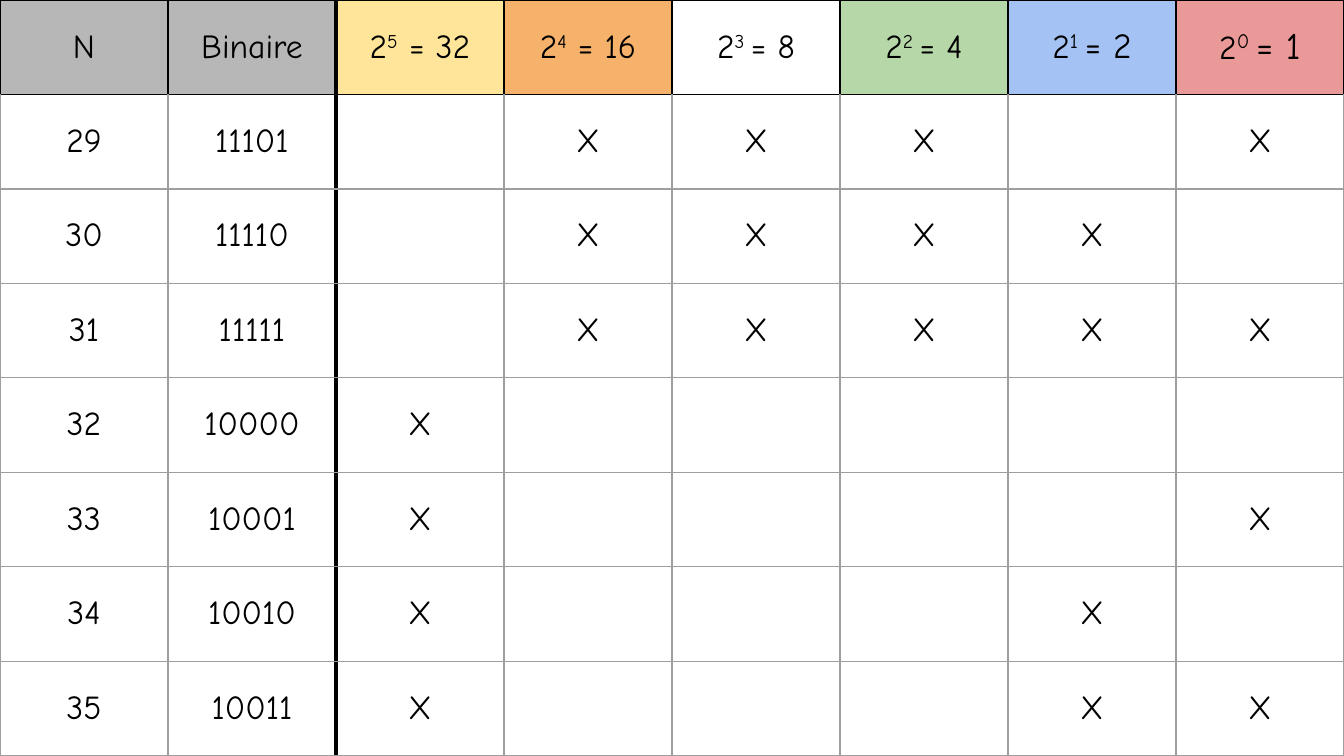
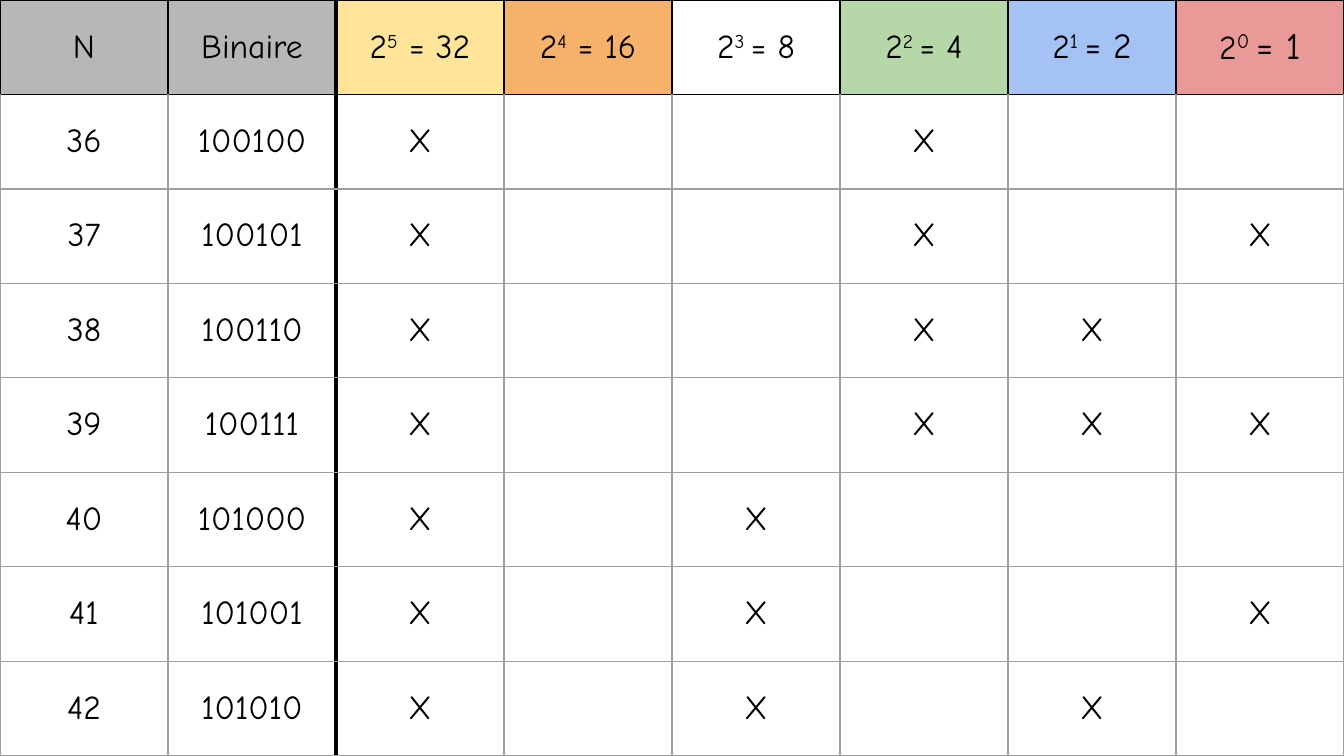
from lxml import etree
from pptx import Presentation
from pptx import util as u
from pptx.dml.color import RGBColor
from pptx.enum import text
from pptx.oxml.ns import qn

PX = 914400 / 192
WIDE, HIGH = 1920, 1080
COLS = ROWS = 8
PAD = 19
FONT = "Comic Neue"
BLACK = RGBColor(0x00, 0x00, 0x00)
EDGE = RGBColor(0x9E, 0x9E, 0x9E)
GRAY = RGBColor(0xB7, 0xB7, 0xB7)
GOLD = RGBColor(0xFF, 0xE5, 0x99)
AMBER = RGBColor(0xF6, 0xB2, 0x6B)
WHITE = RGBColor(0xFF, 0xFF, 0xFF)
GREEN = RGBColor(0xB6, 0xD7, 0xA8)
BLUE = RGBColor(0xA4, 0xC2, 0xF4)
ROSE = RGBColor(0xEA, 0x99, 0x99)
THIN, THICK = 0.75, 3
SIZE, RAISE = 18, 30000

# Each run: words, point size, raised or not.
HEAD = [
    (GRAY, [("N", 18, False)]),
    (GRAY, [("Binaire", 18, False)]),
    (GOLD, [("2", 18, False), ("5", 18, True), (" = 32", 18, False)]),
    (AMBER, [("2", 18, False), ("4", 18, True), (" = 16", 18, False)]),
    (WHITE, [("2", 18, False), ("3 ", 18, True), ("= 8", 18, False)]),
    (GREEN, [("2", 18, False), ("2 ", 18, True), ("= 4", 18, False)]),
    (BLUE, [("2", 18, False), ("1 ", 19, True), ("= 2", 19, False)]),
    (ROSE, [("2", 18, False), ("0 ", 19, True), ("= 1", 20, False)]),
]
PAGES = [
    (29, ["11101", "11110", "11111", "10000", "10001", "10010", "10011"]),
    (36, ["100100", "100101", "100110", "100111", "101000", "101001",
          "101010"]),
]


def px(n):
    return u.Emu(round(n * PX))


class Deck:
    def __init__(self):
        self.prs = Presentation()
        self.prs.slide_width, self.prs.slide_height = px(WIDE), px(HIGH)
        self.slide = None

    def page(self):
        self.slide = self.prs.slides.add_slide(self.prs.slide_layouts[6])

    def grid(self):
        """Add a plain table that fills the slide."""
        frame = self.slide.shapes.add_table(
            ROWS, COLS, 0, 0, px(WIDE), px(HIGH))
        table = frame.table
        table.first_row = table.horz_banding = False
        for col in table.columns:
            col.width = px(WIDE // COLS)
        for row in table.rows:
            row.height = px(HIGH // ROWS)
        return table

    def edge(self, cell, side, color, width):
        line = etree.SubElement(
            cell._tc.get_or_add_tcPr(), qn("a:ln" + side),
            w=str(u.Pt(width)), cap="flat", cmpd="sng")
        fill = etree.SubElement(line, qn("a:solidFill"))
        etree.SubElement(fill, qn("a:srgbClr"), val=str(color))
        etree.SubElement(line, qn("a:prstDash"), val="solid")

    def border(self, cell, row, col):
        """Draw the four edges; a thick rule follows the second column."""
        base = BLACK if row == 0 else EDGE
        top = BLACK if row <= 1 else EDGE
        rule = (BLACK, THICK)
        self.edge(cell, "L", *(rule if col == 2 else (base, THIN)))
        self.edge(cell, "R", *(rule if col == 1 else (base, THIN)))
        self.edge(cell, "T", top, THIN)
        self.edge(cell, "B", base, THIN)

    def label(self, cell, runs):
        cell.vertical_anchor = text.MSO_ANCHOR.MIDDLE
        cell.margin_left = cell.margin_right = px(PAD)
        cell.margin_top = cell.margin_bottom = px(PAD)
        para = cell.text_frame.paragraphs[0]
        para.alignment = text.PP_ALIGN.CENTER
        for words, size, high in runs:
            run = para.add_run()
            run.text = words
            run.font.name, run.font.size = FONT, u.Pt(size)
            run.font.color.rgb = BLACK
            if high:
                run.font._element.set("baseline", str(RAISE))

    def cell(self, table, row, col, runs, fill=None):
        cell = table.cell(row, col)
        self.border(cell, row, col)
        if fill is None:
            cell.fill.background()
        else:
            cell.fill.solid()
            cell.fill.fore_color.rgb = fill
        if runs:
            self.label(cell, runs)

    def chart(self, first, codes):
        """List numbers from first, with an X under each power of two used."""
        self.page()
        table = self.grid()
        for col, (fill, runs) in enumerate(HEAD):
            self.cell(table, 0, col, runs, fill)
        for row, code in enumerate(codes, 1):
            num = first + row - 1
            marks = ["X" if bit == "1" else "" for bit in f"{num:06b}"]
            for col, words in enumerate([str(num), code, *marks]):
                runs = [(words, SIZE, False)] if words else []
                self.cell(table, row, col, runs)


def main():
    deck = Deck()
    for first, codes in PAGES:
        deck.chart(first, codes)
    deck.prs.save("out.pptx")


if __name__ == "__main__":
    main()
